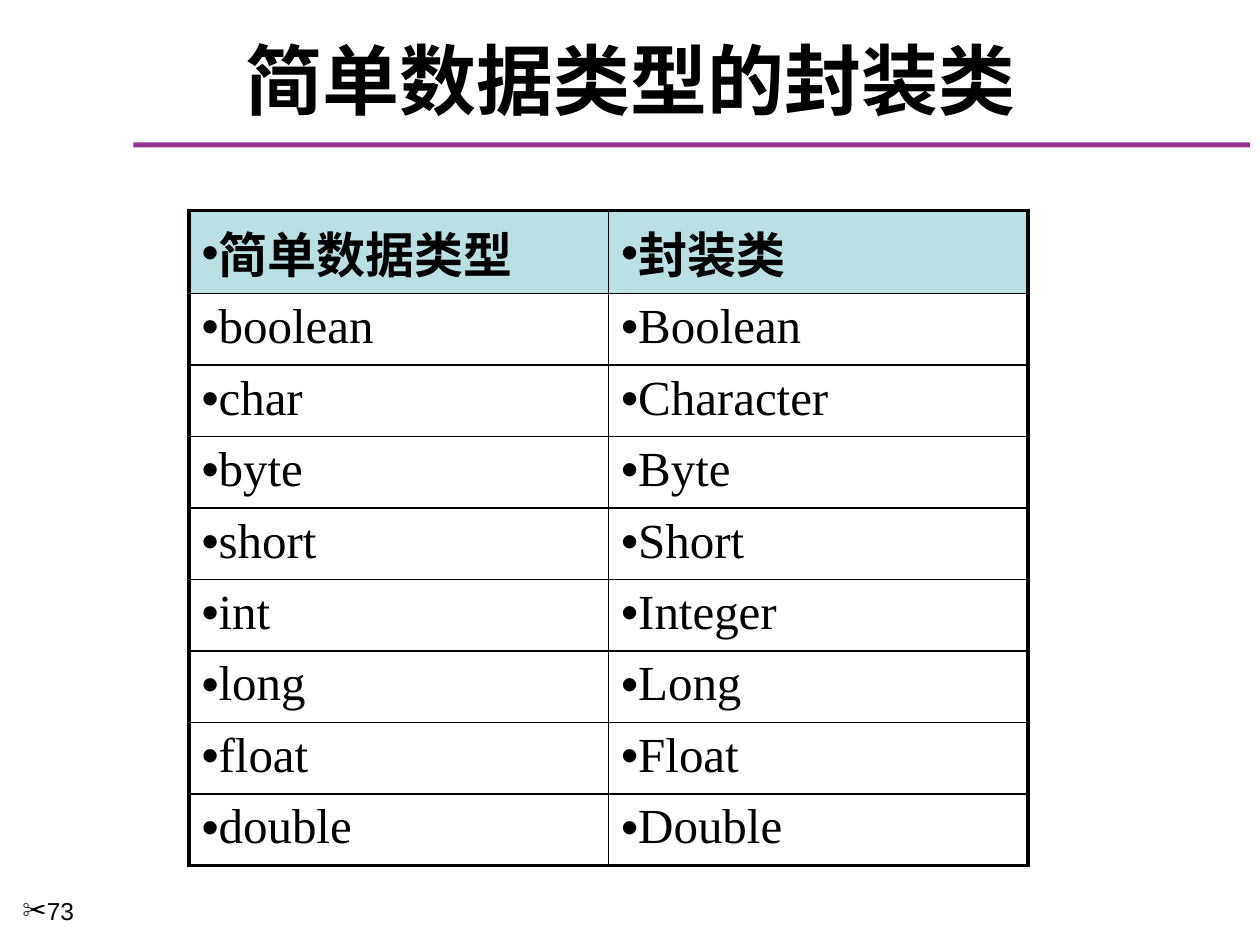
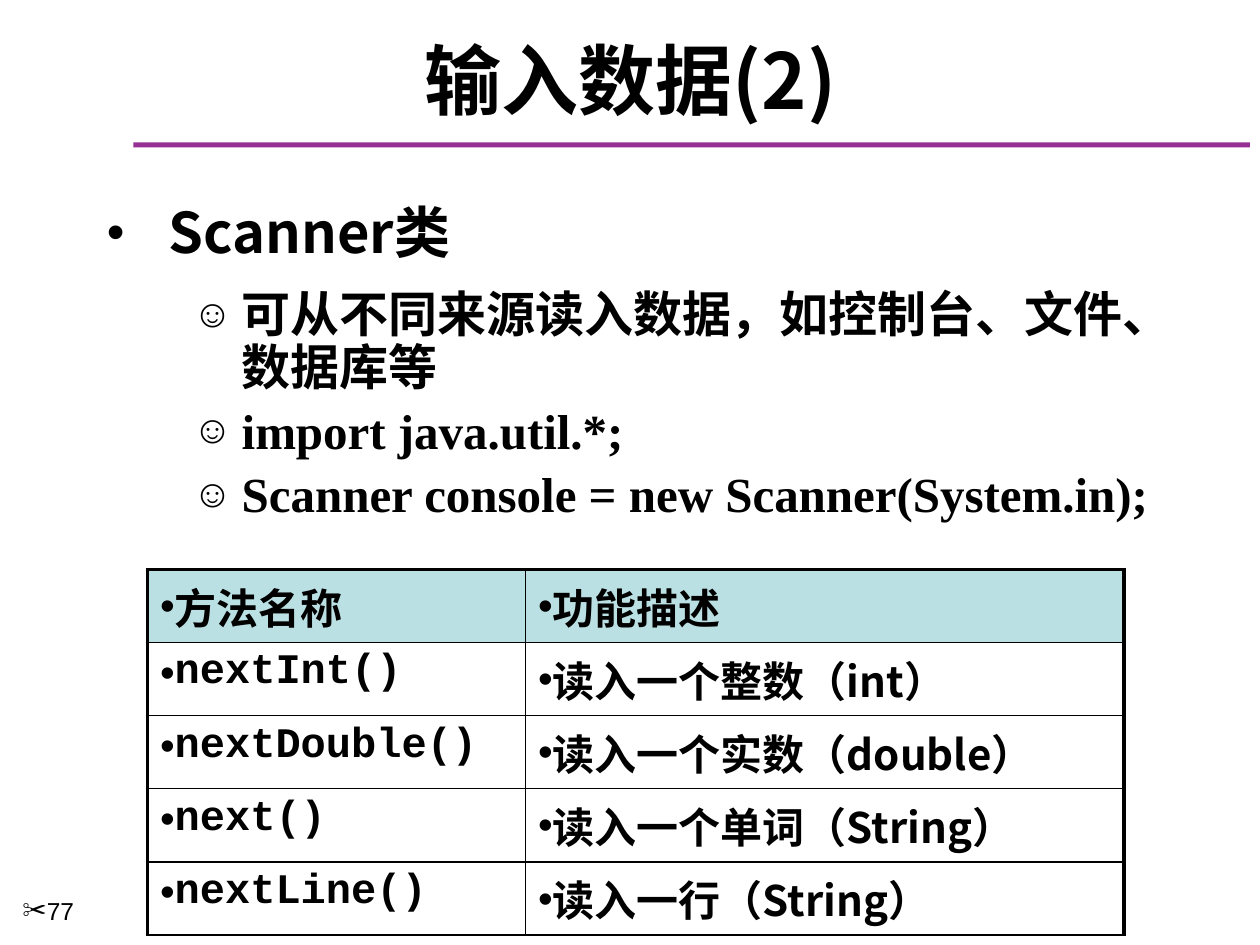
"""Build two slides on Java wrapper classes and the Scanner class."""
from dataclasses import dataclass

from lxml import etree
from pptx import Presentation
from pptx.dml.color import RGBColor
from pptx.enum import shapes, text
from pptx.oxml import ns
from pptx.util import Inches, Pt

COLORS = {"ink": "000000", "rule": "973095", "header": "BBE0E3"}
SANS, SERIF, MONO, NUMBER = "Noto Sans CJK SC", "Times New Roman", "Courier New", "Arial"
THICK, THIN = 2.25, 1


@dataclass
class Style:
    """Look of one paragraph; lengths are inches, sizes are points."""
    size: float
    font: str = SANS
    bold: bool = True
    bullet: str = ""
    bullet_size: int = 100
    left: float = 0
    hang: float = 0
    before: float = 0
    line: float = 1
    level: int = 0
    align: text.PP_ALIGN = text.PP_ALIGN.LEFT


@dataclass
class Grid:
    """A bulleted table whose first row is the header."""
    left: float
    top: float
    columns: list[float]
    header_height: float
    row_height: float
    size: float
    body_fonts: tuple[str, str]
    body_bold: bool
    bottom_line: float
    rows: list[tuple[str, str]]


def rgb(name: str) -> RGBColor:
    """Return a named colour."""
    return RGBColor.from_string(COLORS[name])


def add_child(parent, tag: str, **attributes: str):
    """Append a DrawingML element."""
    return etree.SubElement(parent, ns.qn(f"a:{tag}"), attributes)


def write(para, words: str, style: Style) -> None:
    """Fill a paragraph with styled words."""
    para.text = words
    para.alignment, para.level = style.align, style.level
    para.line_spacing, para.space_before = style.line, Pt(style.before)
    properties = para._p.get_or_add_pPr()
    properties.set("marL", str(Inches(style.left)))
    properties.set("indent", str(Inches(-style.hang)))
    if style.bullet:
        add_child(properties, "buSzPct", val=str(style.bullet_size * 1000))
        add_child(properties, "buFont", typeface=NUMBER)
        add_child(properties, "buChar", char=style.bullet)
    font = para.font
    font.size, font.bold, font.name = Pt(style.size), style.bold, style.font
    font.color.rgb = rgb("ink")
    add_child(font._element, "ea", typeface=SANS)


def add_text(page, place: tuple[float, ...], lines: list[tuple[str, Style]],
             anchor=text.MSO_ANCHOR.TOP) -> None:
    """Add a wrapping text box with one paragraph per line."""
    frame = page.shapes.add_textbox(*map(Inches, place)).text_frame
    frame.word_wrap, frame.vertical_anchor = True, anchor
    for index, (words, style) in enumerate(lines):
        para = frame.add_paragraph() if index else frame.paragraphs[0]
        write(para, words, style)


def add_page(deck, title: str, number: int):
    """Add a slide with the shared rule, title and page number."""
    page = deck.slides.add_slide(deck.slide_layouts[6])
    rule = page.shapes.add_shape(shapes.MSO_SHAPE.RECTANGLE,
                                 *map(Inches, (1.06, 1.13, 8.86, 0.04)))
    rule.shadow.inherit = False
    rule.fill.solid()
    rule.fill.fore_color.rgb = rgb("rule")
    rule.line.fill.background()
    add_text(page, (0.17, 0.25, 9.67, 0.75),
             [(title, Style(44, align=text.PP_ALIGN.CENTER))], text.MSO_ANCHOR.MIDDLE)
    add_text(page, (0.08, 7.06, 1.08, 0.44),
             [(str(number), Style(14, NUMBER, False, "✂", left=0.19, hang=0.19))])
    return page


def set_borders(cell, **widths: float) -> None:
    """Draw the cell's edges, keyed lnL, lnR, lnT and lnB, ahead of its fill."""
    properties = cell._tc.get_or_add_tcPr()
    for index, (edge, width) in enumerate(widths.items()):
        line = add_child(properties, edge, w=str(Pt(width)))
        add_child(add_child(line, "solidFill"), "srgbClr", val=COLORS["ink"])
        properties.insert(index, line)


def add_grid(page, grid: Grid) -> None:
    """Add a table with a thick frame and thin inner lines."""
    heights = [grid.header_height] + [grid.row_height] * (len(grid.rows) - 1)
    table = page.shapes.add_table(len(heights), len(grid.columns), Inches(grid.left),
                                  Inches(grid.top), Inches(sum(grid.columns)),
                                  Inches(sum(heights))).table
    table.first_row = table.horz_banding = False
    for column, width in zip(table.columns, grid.columns):
        column.width = Inches(width)
    last_row, last_column = len(heights) - 1, len(grid.columns) - 1
    for r, (height, words) in enumerate(zip(heights, grid.rows)):
        table.rows[r].height = Inches(height)
        for c, word in enumerate(words):
            cell = table.cell(r, c)
            if r == 0:
                cell.fill.solid()
                cell.fill.fore_color.rgb = rgb("header")
            else:
                cell.fill.background()
            set_borders(cell, lnL=THIN if c else THICK,
                        lnR=THICK if c == last_column else THIN,
                        lnT=THIN if r else THICK,
                        lnB=grid.bottom_line if r == last_row else THIN)
            write(cell.text_frame.paragraphs[0], word,
                  Style(grid.size, grid.body_fonts[c] if r else SANS,
                        grid.body_bold or r == 0, "•", before=grid.size * 0.2))


def main() -> None:
    """Build and save the deck."""
    deck = Presentation()
    deck.slide_width, deck.slide_height = Inches(10), Inches(7.5)

    wrappers = add_page(deck, "简单数据类型的封装类", 73)
    add_grid(wrappers, Grid(
        1.5, 1.67, [3.33, 3.33], 0.66, 0.53, 28, (SERIF, SERIF), False, THICK,
        [("简单数据类型", "封装类"), ("boolean", "Boolean"), ("char", "Character"),
         ("byte", "Byte"), ("short", "Short"), ("int", "Integer"),
         ("long", "Long"), ("float", "Float"), ("double", "Double")]))

    scanner = add_page(deck, "输入数据(2)", 77)
    topic = Style(32, bullet="•", bullet_size=90, left=0.49, hang=0.49, before=16, line=0.9)
    point = dict(size=28, bullet="☺", bullet_size=80, left=1.07, hang=0.39, line=0.9, level=1)
    code = Style(font=SERIF, before=6, **point)
    add_text(scanner, (0.75, 1.58, 8.67, 3.08), [
        ("Scanner类", topic),
        ("可从不同来源读入数据，如控制台、文件、数据库等", Style(before=14, **point)),
        ("import java.util.*;", code),
        ("Scanner console = new Scanner(System.in);", code)])
    add_grid(scanner, Grid(
        1.17, 4.52, [3, 4.75], 0.58, 0.58, 24, (MONO, SANS), True, THIN,
        [("方法名称", "功能描述"), ("nextInt()", "读入一个整数（int）"),
         ("nextDouble()", "读入一个实数（double）"), ("next()", "读入一个单词（String）"),
         ("nextLine()", "读入一行（String）")]))

    deck.save("out.pptx")


main()
